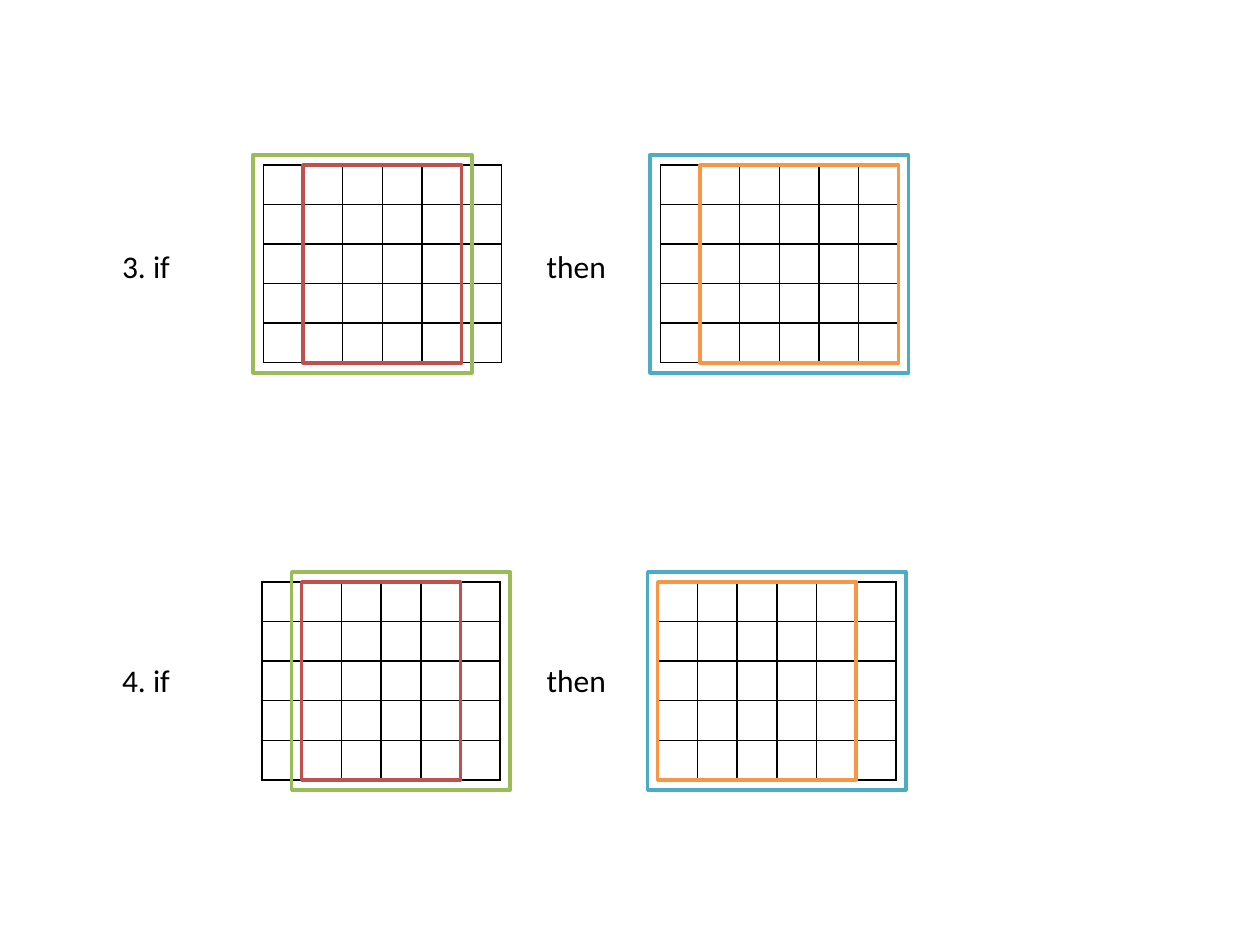
from lxml.etree import SubElement
from pptx import Presentation
from pptx.dml.color import RGBColor
from pptx.enum.shapes import MSO_SHAPE
from pptx.enum.text import MSO_AUTO_SIZE
from pptx.oxml.ns import qn
from pptx.util import Inches, Pt

COLS, ROWS = 6, 5
CELL = 1.89 / COLS
HIGH = 1.57
PAD = 0.08
RED, GREEN, ORANGE, BLUE = "C0504D", "9BBB59", "F79646", "4BACC6"


def color(code):
    return RGBColor.from_string(code)


def border(cell, code="000000", width=1):
    """Draw a solid line on all four sides of a cell."""
    props = cell._tc.get_or_add_tcPr()
    for i, side in enumerate(("lnL", "lnR", "lnT", "lnB")):
        line = props.makeelement(qn(f"a:{side}"), {"w": str(Pt(width))})
        fill = SubElement(line, qn("a:solidFill"))
        SubElement(fill, qn("a:srgbClr"), val=code)
        props.insert(i, line)


def write(frame, text, size=18, font="Calibri", code="000000"):
    run = frame.paragraphs[0].add_run()
    run.text = text
    run.font.size = Pt(size)
    run.font.name = font
    run.font.color.rgb = color(code)


class Sheet:
    line = 2

    def __init__(self, slide):
        self.slide = slide

    def label(self, text, left, top, width):
        box = self.slide.shapes.add_textbox(
            Inches(left), Inches(top), Inches(width), Inches(0.4))
        frame = box.text_frame
        frame.word_wrap = False
        frame.auto_size = MSO_AUTO_SIZE.SHAPE_TO_FIT_TEXT
        write(frame, text)

    def grid(self, left, top):
        table = self.slide.shapes.add_table(
            ROWS, COLS, Inches(left), Inches(top),
            Inches(CELL * COLS), Inches(HIGH)).table
        table.first_row = table.horz_banding = False
        for col in table.columns:
            col.width = Inches(CELL)
        for row in table.rows:
            row.height = Inches(HIGH / ROWS)
        for cell in table.iter_cells():
            cell.margin_left = cell.margin_right = 0
            cell.margin_top = cell.margin_bottom = 0
            cell.fill.background()
            border(cell)
            # Small empty text keeps the rows at their set height
            SubElement(cell.text_frame.paragraphs[0]._p,
                       qn("a:endParaRPr"), sz="800")

    def frame(self, left, top, first, count, code, pad=0):
        """Outline count columns of a grid, from column first on."""
        rect = self.slide.shapes.add_shape(
            MSO_SHAPE.RECTANGLE,
            Inches(left + first * CELL - pad), Inches(top - pad),
            Inches(count * CELL + 2 * pad), Inches(HIGH + 2 * pad))
        rect.shadow.inherit = False
        rect.fill.background()
        rect.line.color.rgb = color(code)
        rect.line.width = Pt(self.line)

    def panel(self, left, top, inner, outer):
        self.grid(left, top)
        self.frame(left, top, *inner)
        self.frame(left, top, *outer, pad=PAD)


def main():
    deck = Presentation()
    deck.slide_width, deck.slide_height = Inches(10), Inches(7.5)
    sheet = Sheet(deck.slides.add_slide(deck.slide_layouts[6]))

    # Left, top, then first column, column count and colour of each frame
    panels = [
        (2.09, 1.31, (1, 4, RED), (0, 5, GREEN)),
        (5.24, 1.31, (1, 5, ORANGE), (0, 6, BLUE)),
        (2.08, 4.62, (1, 4, RED), (1, 5, GREEN)),
        (5.22, 4.62, (0, 5, ORANGE), (0, 6, BLUE)),
    ]
    for panel in panels:
        sheet.panel(*panel)

    for number, top in ((3, 1.91), (4, 5.2)):
        sheet.label(f"{number}. if", 0.87, top, 0.59)
        sheet.label("then", 4.24, top, 0.68)

    deck.save("out.pptx")


if __name__ == "__main__":
    main()
